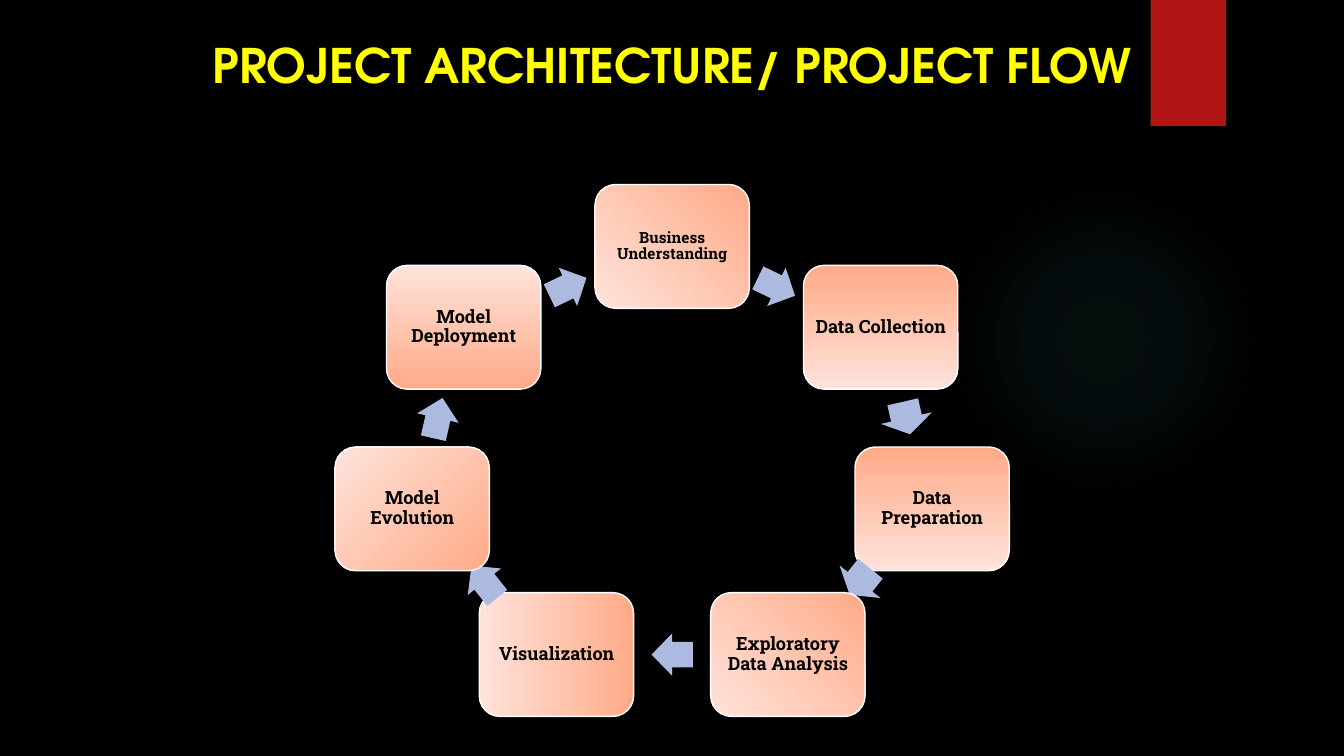
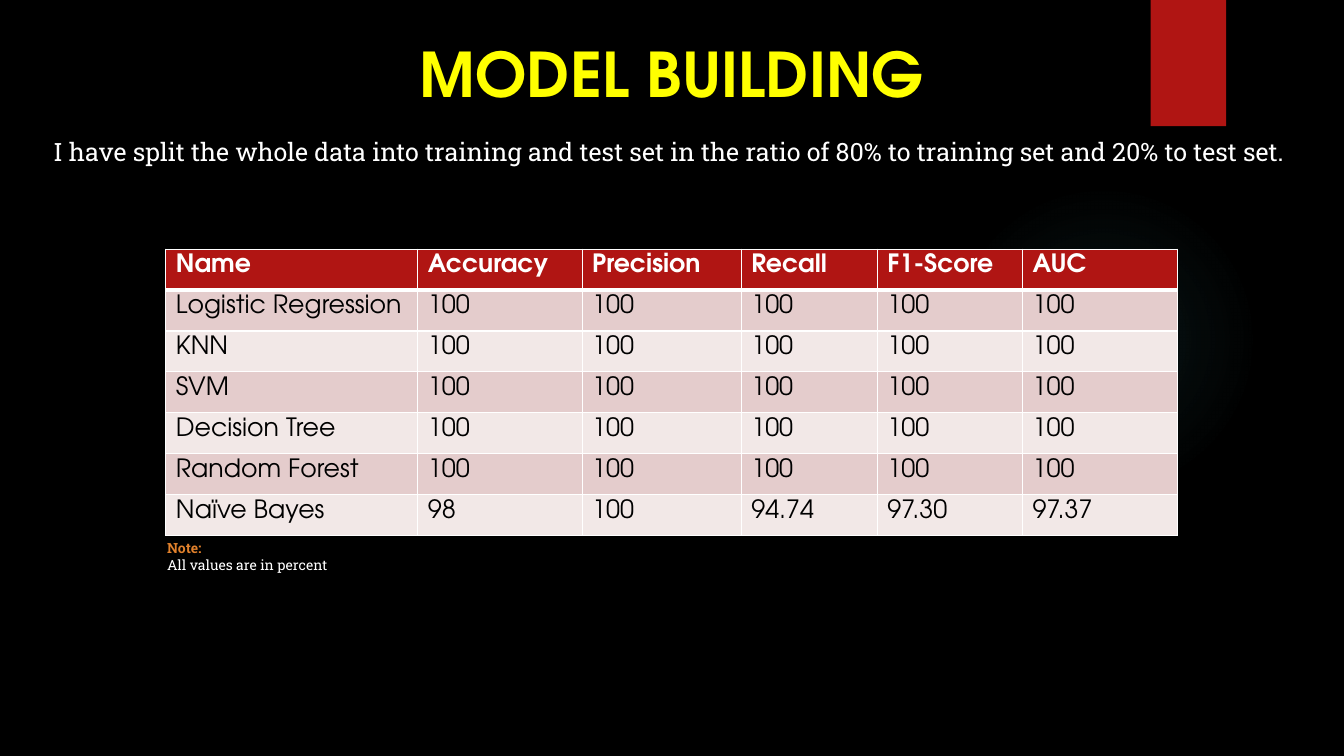
"""Builds two slides on a modelling project: its flow and its results."""
from math import cos, pi, sin

from pptx import Presentation
from pptx.dml.color import RGBColor
from pptx.enum.shapes import MSO_SHAPE
from pptx.enum.text import MSO_ANCHOR, MSO_AUTO_SIZE, PP_ALIGN
from pptx.oxml import parse_xml
from pptx.oxml.ns import nsdecls
from pptx.util import Cm, Pt

RECTANGLE, OVAL = MSO_SHAPE.RECTANGLE, MSO_SHAPE.OVAL
START_CARD, CARD = MSO_SHAPE.FLOWCHART_ALTERNATE_PROCESS, MSO_SHAPE.ROUNDED_RECTANGLE
ARROW = MSO_SHAPE.RIGHT_ARROW
TOP, MIDDLE = MSO_ANCHOR.TOP, MSO_ANCHOR.MIDDLE
LEFT, CENTER = PP_ALIGN.LEFT, PP_ALIGN.CENTER
NO_FIT = MSO_AUTO_SIZE.NONE

SLIDE_W, SLIDE_H = 33.87, 19.05
TITLE_ONLY, TITLE_AND_BODY = 5, 1
HEAD_FONT, TEXT_FONT = "TeX Gyre Adventor", "Roboto Slab"
BLACK, WHITE, YELLOW, RED = "000000", "FFFFFF", "FFFF00", "B01513"
GLOW, ORANGE, ARROW_BLUE = "50B9C1", "E1812C", "ABBADE"
CARD_DARK, CARD_LIGHT = "FFAA87", "FFE3DB"
BANDS = ("E4CCCC", "F2E8E7")

CARD_W, CARD_H = 3.89, 3.12
LONG_ARROW, WIDE_ARROW = (1.04, 1.07), (0.84, 1.32)
STEPS = (
    ("Business Understanding", 135, LONG_ARROW),
    ("Data Collection", 90, WIDE_ARROW),
    ("Data Preparation", 90, WIDE_ARROW),
    ("Exploratory Data Analysis", 135, LONG_ARROW),
    ("Visualization", 180, LONG_ARROW),
    ("Model Evolution", 225, LONG_ARROW),
    ("Model Deployment", 270, LONG_ARROW),
)

COLUMN_WIDTHS = (6.35, 4.14, 4.01, 3.43, 3.66, 3.91)
ROW_HEIGHT = 1.03
SCORES = (
    ("Name", "Accuracy", "Precision", "Recall", "F1-Score", "AUC"),
    ("Logistic Regression",) + ("100",) * 5,
    ("KNN",) + ("100",) * 5,
    ("SVM",) + ("100",) * 5,
    ("Decision Tree",) + ("100",) * 5,
    ("Random Forest",) + ("100",) * 5,
    ("Naïve Bayes", "98", "100", "94.74", "97.30", "97.37"),
)


def rgb(value):
    """Turn a hex string into a colour."""
    return RGBColor.from_string(value)


def style(paragraph, font, size, color, bold=False, align=LEFT, spacing=1.0):
    """Format a paragraph and its runs."""
    paragraph.alignment = align
    paragraph.line_spacing = spacing
    paragraph.space_before = Pt(0)
    for run in paragraph.runs:
        run.font.name = font
        run.font.size = Pt(size)
        run.font.bold = bold
        run.font.color.rgb = rgb(color)


def place(shape, box):
    """Move a shape to a box of left, top, width and height."""
    shape.left, shape.top, shape.width, shape.height = map(Cm, box)


def add_flat_shape(shapes, kind, box, fill=None):
    """Add a shape without line or shadow, filled if a colour is given."""
    shape = shapes.add_shape(kind, *map(Cm, box))
    shape.shadow.inherit = False
    shape.line.fill.background()
    if fill:
        shape.fill.solid()
        shape.fill.fore_color.rgb = rgb(fill)
    return shape


def decorate_master(master, slide):
    """Give the master its black ground, soft glow and red bookmark."""
    master.background.fill.solid()
    master.background.fill.fore_color.rgb = rgb(BLACK)
    glow = add_flat_shape(slide.shapes, OVAL, (23.9, 4.65, 7.82, 7.82))
    stops = "".join(
        f'<a:gs pos="{pos}000"><a:srgbClr val="{GLOW}">'
        f'<a:alpha val="{alpha}000"/></a:srgbClr></a:gs>'
        for pos, alpha in ((0, 7), (36, 6), (69, 0), (100, 0)))
    glow.element.spPr.prstGeom.addnext(parse_xml(
        f'<a:gradFill {nsdecls("a")}><a:gsLst>{stops}</a:gsLst><a:path path="circle">'
        '<a:fillToRect l="50000" t="50000" r="50000" b="50000"/></a:path></a:gradFill>'))
    bookmark = add_flat_shape(slide.shapes, RECTANGLE, (29, 0, 1.9, 3.18), RED)
    for index, part in enumerate((glow, bookmark), start=2):
        master.shapes.element.insert(index, part.element)


def set_title(slide, text, box, size, spacing):
    """Fill the title placeholder in the shared title style."""
    title = slide.shapes.title
    place(title, box)
    title.text_frame.text = text
    title.text_frame.auto_size = NO_FIT
    title.text_frame.vertical_anchor = MIDDLE
    style(title.text_frame.paragraphs[0], HEAD_FONT, size, YELLOW, True, CENTER, spacing)


def add_card(slide, kind, center, label, angle, size):
    """Add one step of the flow, centred on a point."""
    x, y = center
    card = add_flat_shape(slide.shapes, kind, (x - CARD_W / 2, y - CARD_H / 2, CARD_W, CARD_H))
    card.fill.gradient()
    card.fill.gradient_angle = 360 - angle
    for stop, color in zip(card.fill.gradient_stops, (CARD_DARK, CARD_LIGHT)):
        stop.color.rgb = rgb(color)
    card.line.color.rgb = rgb(WHITE)
    card.line.width = Pt(1)
    frame = card.text_frame
    frame.text = label
    frame.word_wrap = True
    frame.vertical_anchor = MIDDLE
    frame.margin_left = frame.margin_right = Cm(0.08)
    style(frame.paragraphs[0], TEXT_FONT, size, BLACK, True, CENTER, 0.9)


def add_flow_ring(slide, box):
    """Spread the steps clockwise on the ellipse within a box, with arrows between."""
    left, top, width, height = box
    turn = 2 * pi / len(STEPS)
    centers = [(left + width / 2 * (1 + sin(step * turn)),
                top + height / 2 * (1 - cos(step * turn)))
               for step in range(len(STEPS))]
    for step, (label, angle, (length, breadth)) in enumerate(STEPS):
        kind, size = (CARD, 13) if step else (START_CARD, 11)
        add_card(slide, kind, centers[step], label, angle, size)
        following = centers[(step + 1) % len(STEPS)]
        x, y = ((a + b) / 2 for a, b in zip(centers[step], following))
        arrow = add_flat_shape(
            slide.shapes, ARROW, (x - length / 2, y - breadth / 2, length, breadth), ARROW_BLUE)
        arrow.adjustments[0] = 0.6
        arrow.rotation = 360 / len(STEPS) * (step + 0.5)


def set_statement(slide, text, box):
    """Fill the body placeholder with one sentence without a bullet."""
    statement = slide.placeholders[1]
    place(statement, box)
    frame = statement.text_frame
    frame.text = text
    frame.auto_size = NO_FIT
    frame.vertical_anchor = TOP
    sentence = frame.paragraphs[0]
    style(sentence, TEXT_FONT, 18, WHITE)
    properties = sentence._p.get_or_add_pPr()
    properties.set("marL", "0")
    properties.set("indent", "0")
    properties.append(parse_xml(f'<a:buNone {nsdecls("a")}/>'))


def set_borders(cell, top, bottom):
    """Draw white cell borders, with the given top and bottom widths in points."""
    properties = cell._tc.get_or_add_tcPr()
    for side, width in (("L", 1), ("R", 1), ("T", top), ("B", bottom)):
        properties.append(parse_xml(
            f'<a:ln{side} {nsdecls("a")} w="{Pt(width)}"><a:solidFill>'
            f'<a:srgbClr val="{WHITE}"/></a:solidFill></a:ln{side}>'))


def add_score_table(slide, left, top):
    """Add the table of scores with a red header and two row tints."""
    size = (sum(COLUMN_WIDTHS), ROW_HEIGHT * len(SCORES))
    table = slide.shapes.add_table(
        len(SCORES), len(COLUMN_WIDTHS), *map(Cm, (left, top, *size))).table
    for column, width in zip(table.columns, COLUMN_WIDTHS):
        column.width = Cm(width)
    for row, scores in enumerate(SCORES):
        table.rows[row].height = Cm(ROW_HEIGHT)
        header = row == 0
        for column, score in enumerate(scores):
            cell = table.cell(row, column)
            set_borders(cell, 3 if row == 1 else 1, 3 if header else 1)
            cell.fill.solid()
            cell.fill.fore_color.rgb = rgb(RED if header else BANDS[(row - 1) % 2])
            cell.text_frame.text = score
            style(cell.text_frame.paragraphs[0], HEAD_FONT, 18,
                  WHITE if header else BLACK, header)


def add_note(slide, box):
    """Add the small note on units."""
    frame = slide.shapes.add_textbox(*map(Cm, box)).text_frame
    frame.word_wrap = False
    frame.text = "Note:\nAll values are in percent"
    heading, remark = frame.paragraphs
    style(heading, TEXT_FONT, 10, ORANGE, True)
    style(remark, TEXT_FONT, 10, WHITE)


def build_flow_slide(slide):
    """Fill the slide on the project flow."""
    set_title(slide, "PROJECT ARCHITECTURE/ PROJECT FLOW", (0, 0.51, SLIDE_W, 2.39), 34, 0.9)
    add_flow_ring(slide, (10.22, 6.21, 13.44, 10.82))


def build_model_slide(slide):
    """Fill the slide on the models and their scores."""
    set_title(slide, "MODEL BUILDING", (0, 0.76, SLIDE_W, 2.13), 44, 1.0)
    set_statement(
        slide,
        "I have split the whole data into training and test set in the ratio of "
        "80% to training set and 20% to test set.",
        (1.09, 3.3, 32.77, 1.8))
    add_score_table(slide, 4.18, 6.28)
    add_note(slide, (3.96, 13.48, 4.67, 1.12))


def main():
    """Build and save the presentation."""
    deck = Presentation()
    deck.slide_width, deck.slide_height = Cm(SLIDE_W), Cm(SLIDE_H)
    flow = deck.slides.add_slide(deck.slide_layouts[TITLE_ONLY])
    decorate_master(deck.slide_master, flow)
    build_flow_slide(flow)
    build_model_slide(deck.slides.add_slide(deck.slide_layouts[TITLE_AND_BODY]))
    deck.save("out.pptx")


if __name__ == "__main__":
    main()
